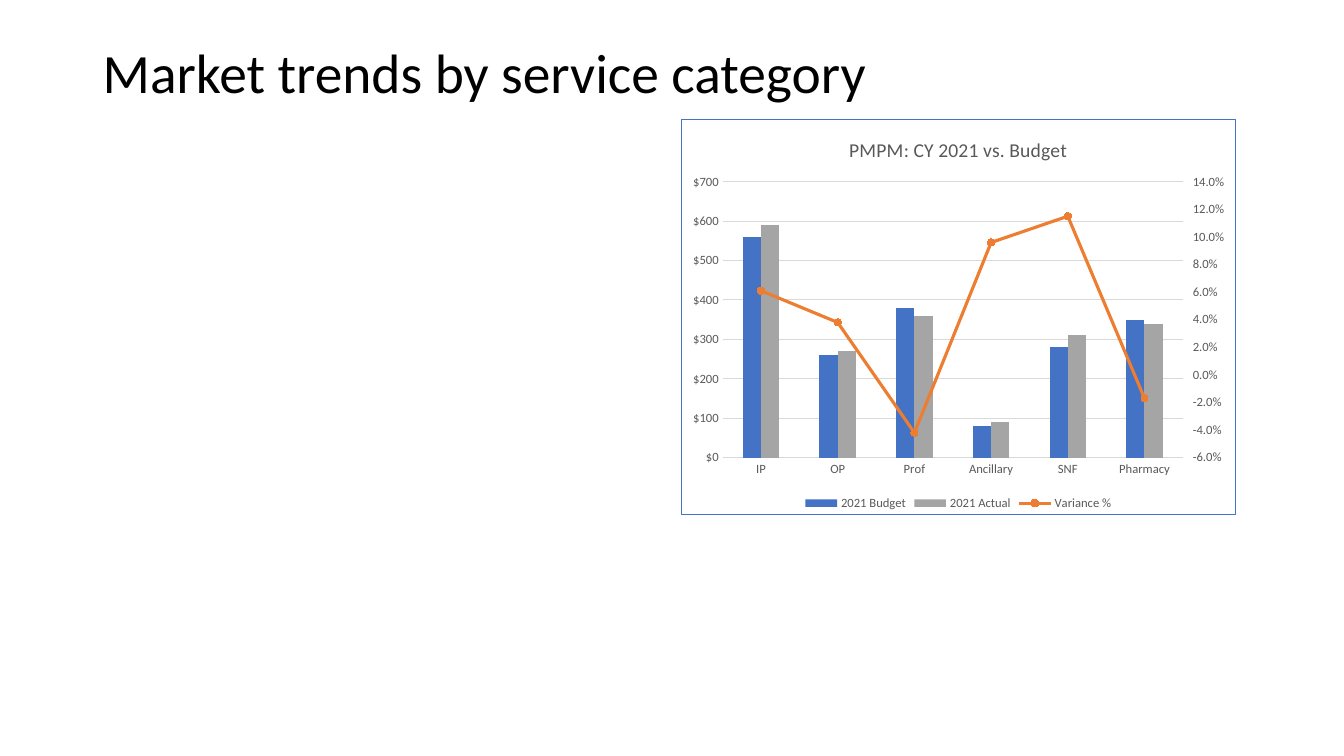
from copy import deepcopy

from lxml import etree
from pptx import Presentation
from pptx.chart.axis import CategoryAxis, ValueAxis
from pptx.chart.data import CategoryChartData
from pptx.dml.color import RGBColor
from pptx.enum.chart import XL_CHART_TYPE as ChartType
from pptx.enum.chart import XL_LEGEND_POSITION as LegendPosition
from pptx.enum.chart import XL_MARKER_STYLE as MarkerStyle
from pptx.enum.chart import XL_TICK_MARK as TickMark
from pptx.enum.text import MSO_ANCHOR
from pptx.oxml import parse_xml
from pptx.oxml.ns import nsdecls, qn
from pptx.util import Pt

PX = 9144  # 100 px to the inch
FONT = "Calibri"
COLORS = {
    "title": "000000",
    "label": "595959",
    "grid": "D9D9D9",
    "background": "FFFFFF",
    "budget": "4472C4",
    "actual": "A5A5A5",
    "variance": "ED7D31",
}
CATEGORIES = ["IP", "OP", "Prof", "Ancillary", "SNF", "Pharmacy"]
BUDGET = [560, 260, 380, 80, 280, 350]
ACTUAL = [590, 270, 360, 90, 310, 340]
VARIANCE = [0.061, 0.038, -0.042, 0.096, 0.115, -0.017]


def color(name):
    return RGBColor.from_string(COLORS[name])


def style_font(font, size, color_name):
    font.name = FONT
    font.size = Pt(size)
    font.bold = False
    font.color.rgb = color(color_name)


def paint(fill, color_name):
    fill.solid()
    fill.fore_color.rgb = color(color_name)


def style_line(line, color_name, width):
    line.color.rgb = color(color_name)
    line.width = Pt(width)


def style_value_axis(axis, low, high, step, number_format, tick_mark):
    axis.minimum_scale, axis.maximum_scale = low, high
    axis.major_unit = step
    axis.major_tick_mark = tick_mark
    axis.tick_labels.number_format = number_format
    axis.tick_labels.number_format_is_linked = False
    axis.format.line.fill.background()


def add_title(slide, left, top, width, height):
    frame = slide.shapes.add_textbox(left * PX, top * PX, width * PX, height * PX).text_frame
    frame.word_wrap = True
    frame.vertical_anchor = MSO_ANCHOR.MIDDLE
    frame.text = "Market trends by service category"
    paragraph = frame.paragraphs[0]
    paragraph.line_spacing = 0.9
    style_font(paragraph.runs[0].font, 39.6, "title")


def move_to_right_axis(chart):
    """Turn the last column series into a line on a second pair of axes."""
    plot_area = chart.value_axis._element.getparent()
    columns = plot_area.find(qn("c:barChart"))
    series = columns.findall(qn("c:ser"))[-1]
    for column_setting in series.findall(qn("c:invertIfNegative")):
        series.remove(column_setting)
    category_id, value_id = "50010", "50020"
    line_chart = parse_xml(
        f'<c:lineChart {nsdecls("c")}><c:grouping val="standard"/><c:varyColors val="0"/>'
        f'<c:marker val="1"/><c:axId val="{category_id}"/><c:axId val="{value_id}"/></c:lineChart>'
    )
    line_chart.insert(2, series)
    columns.addnext(line_chart)

    right = deepcopy(chart.value_axis._element)
    hidden = deepcopy(chart.category_axis._element)
    chart.value_axis._element.addnext(right)
    right.addnext(hidden)
    for element, own_id, cross_id in ((right, value_id, category_id), (hidden, category_id, value_id)):
        element.find(qn("c:axId")).set("val", own_id)
        element.find(qn("c:crossAx")).set("val", cross_id)
    right.find(qn("c:axPos")).set("val", "r")
    right.find(qn("c:crosses")).set("val", "max")
    CategoryAxis(hidden).visible = False
    right_axis = ValueAxis(right)
    right_axis.has_major_gridlines = False
    return right_axis


def set_plot_layout(chart, x, y, width, height):
    """Place the inner plot area, in fractions of the chart."""
    plot_area = chart.value_axis._element.getparent()
    for old in plot_area.findall(qn("c:layout")):
        plot_area.remove(old)
    layout = parse_xml(f'<c:layout {nsdecls("c")}><c:manualLayout/></c:layout>')
    settings = {"layoutTarget": "inner", "xMode": "edge", "yMode": "edge",
                "x": x, "y": y, "w": width, "h": height}
    for name, value in settings.items():
        etree.SubElement(layout[0], qn(f"c:{name}")).set("val", str(value))
    plot_area.insert(0, layout)


def frame_chart(chart):
    """Give the chart area its fill and border."""
    chart._chartSpace.find(qn("c:chart")).addnext(parse_xml(
        f'<c:spPr {nsdecls("c", "a")}>'
        f'<a:solidFill><a:srgbClr val="{COLORS["background"]}"/></a:solidFill>'
        f'<a:ln w="{int(Pt(0.75))}"><a:solidFill><a:srgbClr val="{COLORS["budget"]}"/></a:solidFill></a:ln>'
        "</c:spPr>"
    ))


def add_budget_chart(slide, left, top, width, height):
    data = CategoryChartData()
    data.categories = CATEGORIES
    data.add_series("2021 Budget", BUDGET, '"$"#,##0')
    data.add_series("2021 Actual", ACTUAL, '"$"#,##0')
    data.add_series("Variance %", VARIANCE, "0.0%")
    chart = slide.shapes.add_chart(
        ChartType.COLUMN_CLUSTERED, left * PX, top * PX, width * PX, height * PX, data
    ).chart
    style_font(chart.font, 10, "title")
    frame_chart(chart)

    chart.has_title = True
    title_frame = chart.chart_title.text_frame
    title_frame.text = "PMPM: CY 2021 vs. Budget"
    style_font(title_frame.paragraphs[0].runs[0].font, 14, "label")
    chart.chart_title.include_in_layout = False

    chart.has_legend = True
    chart.legend.position = LegendPosition.BOTTOM
    chart.legend.include_in_layout = False
    style_font(chart.legend.font, 9, "label")

    category_axis, value_axis = chart.category_axis, chart.value_axis
    for axis in (category_axis, value_axis):
        style_font(axis.tick_labels.font, 9, "label")
    category_axis.major_tick_mark = TickMark.NONE
    style_line(category_axis.format.line, "grid", 0.75)
    style_line(value_axis.major_gridlines.format.line, "grid", 0.75)
    right_axis = move_to_right_axis(chart)
    style_value_axis(value_axis, 0, 700, 100, '"$"#,##0', TickMark.NONE)
    style_value_axis(right_axis, -0.06, 0.14, 0.02, "0.0%", TickMark.OUTSIDE)
    set_plot_layout(chart, 0.075, 0.158, 0.83, 0.698)

    columns, line_plot = chart.plots
    columns.gap_width, columns.overlap = 219, 0
    columns.vary_by_categories = False
    for series, name in zip(columns.series, ("budget", "actual")):
        paint(series.format.fill, name)
    variance = line_plot.series[0]
    variance.smooth = False
    style_line(variance.format.line, "variance", 2.25)
    variance.marker.style = MarkerStyle.CIRCLE
    variance.marker.size = 5
    paint(variance.marker.format.fill, "variance")
    style_line(variance.marker.format.line, "variance", 0.75)


def main():
    presentation = Presentation()
    presentation.slide_width, presentation.slide_height = 1333 * PX, 750 * PX
    slide = presentation.slides.add_slide(presentation.slide_layouts[6])
    paint(slide.background.fill, "background")
    add_title(slide, 92, 40, 1150, 69)
    add_budget_chart(slide, 675, 118, 551, 393)
    presentation.save("out.pptx")


if __name__ == "__main__":
    main()
